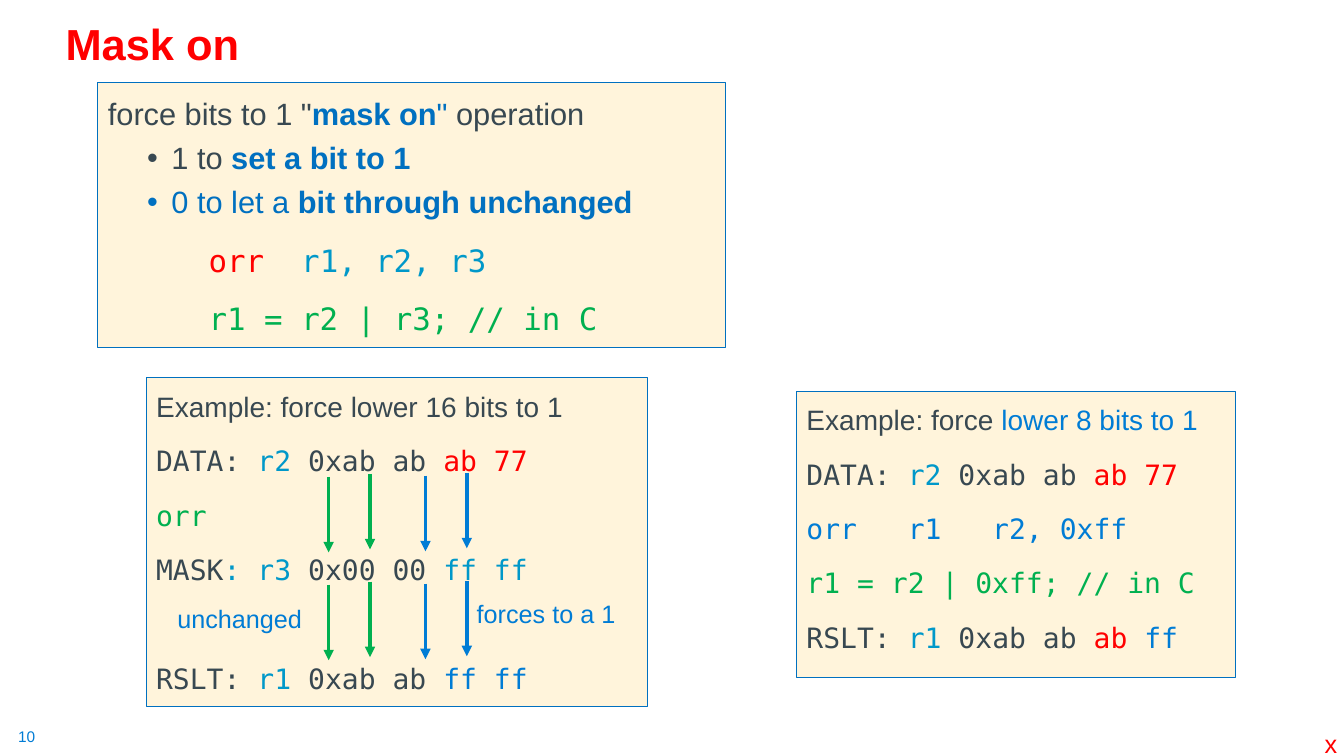
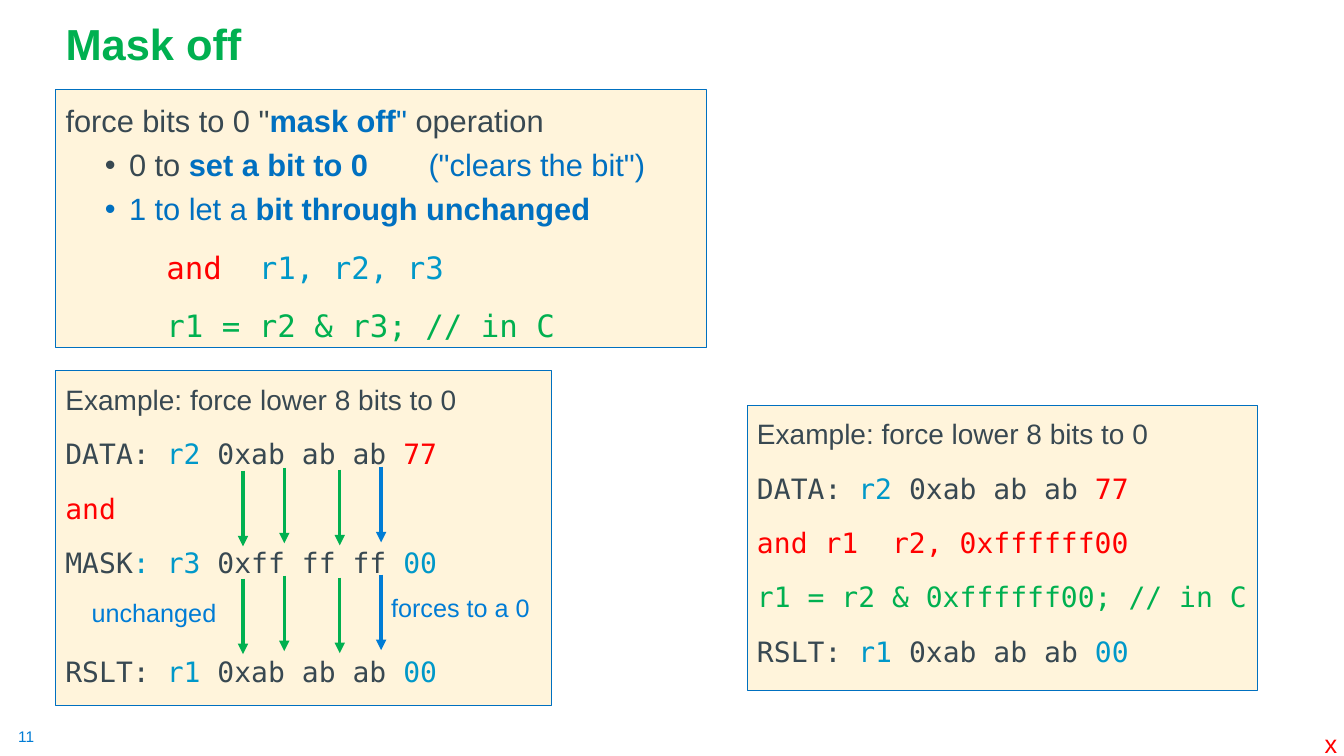
import pptx
import pptx.dml.color
import pptx.enum.shapes
import pptx.enum.text
import pptx.oxml.ns
import pptx.util
from lxml import etree

Inches = pptx.util.Inches
Pt = pptx.util.Pt
qn = pptx.oxml.ns.qn

SANS, MONO = "Arial", "DejaVu Sans Mono"
DARK, NAVY, BLUE = "384851", "0070C0", "007CD5"
CYAN, GREEN, RED = "0098C9", "00B050", "FF0000"
CREAM = "FFF4DB"


def rgb(code):
    return pptx.dml.color.RGBColor.from_string(code)


def add_run(para, text, size=20, color=DARK, bold=False, font=SANS):
    run = para.add_run()
    run.text = text
    run.font.name = font
    run.font.size = Pt(size)
    run.font.bold = bold
    run.font.color.rgb = rgb(color)


class Deck:
    def __init__(self):
        self.prs = pptx.Presentation()
        self.prs.slide_width = Inches(13.33)
        self.prs.slide_height = Inches(7.5)
        self.slide = None

    def start(self, title, color, number):
        """Add a slide with its title, number and corner mark."""
        self.slide = self.prs.slides.add_slide(self.prs.slide_layouts[1])
        head = self.slide.shapes.title
        self.place(head, 0.55, 0.13, 11.5, 0.61)
        frame = head.text_frame
        frame.auto_size = pptx.enum.text.MSO_AUTO_SIZE.NONE
        frame.vertical_anchor = pptx.enum.text.MSO_ANCHOR.BOTTOM
        para = self.para(frame, spacing=0.9)
        add_run(para, title, size=31, color=color, bold=True)
        self.label(number, 0.18, 7.21, 0.19, 0.19, size=11, inset=0)
        self.label("x", 13.04, 7.18, 0.33, 0.4, color=RED)

    def place(self, shape, left, top, width, height):
        shape.left, shape.top = Inches(left), Inches(top)
        shape.width, shape.height = Inches(width), Inches(height)

    def para(self, frame, before=10, spacing=1.2, left=0, bullet=False, tab=None):
        """Return the next paragraph, ready for runs."""
        first = not frame.paragraphs[0].runs
        para = frame.paragraphs[0] if first else frame.add_paragraph()
        props = para._p.get_or_add_pPr()
        props.set("marL", str(Inches(left)))
        props.set("indent", str(Inches(-0.24 if bullet else 0)))
        if bullet:
            etree.SubElement(props, qn("a:buFont"), typeface=SANS)
            etree.SubElement(props, qn("a:buChar"), char="•")
        else:
            etree.SubElement(props, qn("a:buNone"))
        if tab:
            stops = etree.SubElement(props, qn("a:tabLst"))
            etree.SubElement(stops, qn("a:tab"), pos=str(Inches(tab)), algn="l")
        para.alignment = pptx.enum.text.PP_ALIGN.LEFT
        para.line_spacing = spacing
        para.space_before = Pt(0 if first else before)
        return para

    def label(self, text, left, top, width, height, size=18, color=BLUE, inset=None):
        box = self.slide.shapes.add_textbox(0, 0, 0, 0)
        self.place(box, left, top, width, height)
        frame = box.text_frame
        frame.word_wrap = False
        if inset is not None:
            frame.margin_left = frame.margin_right = Inches(inset)
            frame.margin_top = frame.margin_bottom = Inches(inset)
        add_run(self.para(frame, spacing=1.0), text, size=size, color=color)

    def panel(self, shape, *area):
        """Give a shape the cream look and return its text frame."""
        self.place(shape, *area)
        shape.fill.solid()
        shape.fill.fore_color.rgb = rgb(CREAM)
        shape.line.color.rgb = rgb(NAVY)
        shape.line.width = Pt(0.75)
        frame = shape.text_frame
        frame.word_wrap = True
        frame.auto_size = pptx.enum.text.MSO_AUTO_SIZE.NONE
        frame.vertical_anchor = pptx.enum.text.MSO_ANCHOR.TOP
        return frame

    def rules(self, area, bit, word, code, formula, note=None):
        """Fill the body with what a mask bit does and the matching code."""
        frame = self.panel(self.slide.placeholders[1], *area)

        def line(*runs, font=SANS, **style):
            para = self.para(frame, **style)
            for text, color, bold in runs:
                add_run(para, text, size=22, color=color, bold=bold, font=font)

        item = dict(before=5, spacing=1.0, left=0.63, bullet=True)
        line((f'force bits to {bit} "', DARK, False), (word, NAVY, True),
             ('" ', NAVY, False), ("operation", DARK, False))
        effect = [(f"{bit} to ", DARK, False), (f"set a bit to {bit}", NAVY, True)]
        if note:
            effect.append(("\t" + note, NAVY, False))
        line(*effect, tab=3.6 if note else None, **item)
        line((f"{1 - bit} to let a ", NAVY, False),
             ("bit through unchanged", NAVY, True), **item)
        line((code, RED, False), ("  r1, r2, r3", CYAN, False), font=MONO, left=1)
        line((formula, GREEN, False), font=MONO, left=1)

    def example(self, area, head, *lines):
        """Draw a panel: a heading, then code lines of (text, colour) runs."""
        rect = pptx.enum.shapes.MSO_SHAPE.RECTANGLE
        shape = self.slide.shapes.add_shape(rect, 0, 0, 0, 0)
        shape.shadow.inherit = False
        frame = self.panel(shape, *area)
        for row, runs in enumerate([head, *lines]):
            # The result after a mask leaves room for the arrows.
            gap = row == 4 and lines[2][0][0] == "MASK"
            para = self.para(frame, before=49 if gap else 10)
            for text, color in runs:
                add_run(para, text, color=color, font=MONO if row else SANS)

    def arrow(self, left, top, color):
        kind = pptx.enum.shapes.MSO_CONNECTOR.STRAIGHT
        line = self.slide.shapes.add_connector(
            kind, Inches(left), Inches(top), Inches(left), Inches(top + 0.75))
        line.line.color.rgb = rgb(color)
        line.line.width = Pt(2.5)
        etree.SubElement(line.line._get_or_add_ln(), qn("a:tailEnd"), type="triangle")
        etree.SubElement(line._element.spPr, qn("a:effectLst"))

    def flow(self, left, top, colors, bit):
        """Draw two rows of byte arrows and the labels beside them."""
        shifts = [(0, 0), (0.41, -0.03), (0.96, -0.01), (1.37, -0.04)]
        for drop in (0, 1.07):
            for (right, down), color in zip(shifts, colors):
                self.arrow(left + right, top + down + drop, color)
        self.label("unchanged", left - 1.6, top + 1.21, 1.45, 0.4)
        self.label(f"forces to a {bit}", left + 1.37, top + 1.16, 1.59, 0.4)


def row(name, reg, kept, *rest):
    return [(name + ": ", DARK), (reg, CYAN), (f" {kept} ", DARK), *rest]


def mask(kept, rest):
    return [("MASK", DARK), (": r3 ", CYAN), (kept + " ", DARK), (rest, CYAN)]


def mask_on(deck):
    deck.start("Mask on", RED, "10")
    deck.rules((0.97, 0.82, 6.23, 2.63), 1, "mask on", "orr",
               "r1 = r2 | r3; // in C")
    data = row("DATA", "r2", "0xab ab", ("ab 77", RED))
    deck.example((1.45, 3.75, 4.97, 3.26),
                 [("Example: force lower 16 bits to 1", DARK)],
                 data, [("orr", GREEN)], mask("0x00 00", "ff ff"),
                 row("RSLT", "r1", "0xab ab", ("ff ff", BLUE)))
    deck.flow(3.26, 4.73, [GREEN, GREEN, BLUE, BLUE], 1)
    deck.example((7.9, 3.88, 4.35, 2.84),
                 [("Example: force ", DARK), ("lower 8 bits to 1", BLUE)],
                 data, [("orr   r1   r2, 0xff", BLUE)],
                 [("r1 = r2 | 0xff; // in C", GREEN)],
                 row("RSLT", "r1", "0xab ab", ("ab", RED), (" ff", BLUE)))


def mask_off(deck):
    deck.start("Mask off", GREEN, "11")
    deck.rules((0.55, 0.89, 6.46, 2.56), 0, "mask off", "and",
               "r1 = r2 & r3; // in C", note='("clears the bit")')
    head = [("Example: force lower 8 bits to 0", DARK)]
    data = row("DATA", "r2", "0xab ab ab", ("77", RED))
    result = row("RSLT", "r1", "0xab ab ab", ("00", CYAN))
    deck.example((0.55, 3.68, 4.92, 3.32), head, data, [("and", RED)],
                 mask("0xff ff ff", "00"), result)
    deck.flow(2.41, 4.67, [GREEN, GREEN, GREEN, BLUE], 0)
    deck.example((7.41, 4.02, 5.06, 2.83), head, data,
                 [("and r1  r2, 0xffffff00", RED)],
                 [("r1 = r2 & 0xffffff00; // in C", GREEN)], result)


def main():
    deck = Deck()
    mask_on(deck)
    mask_off(deck)
    deck.prs.save("out.pptx")


if __name__ == "__main__":
    main()
